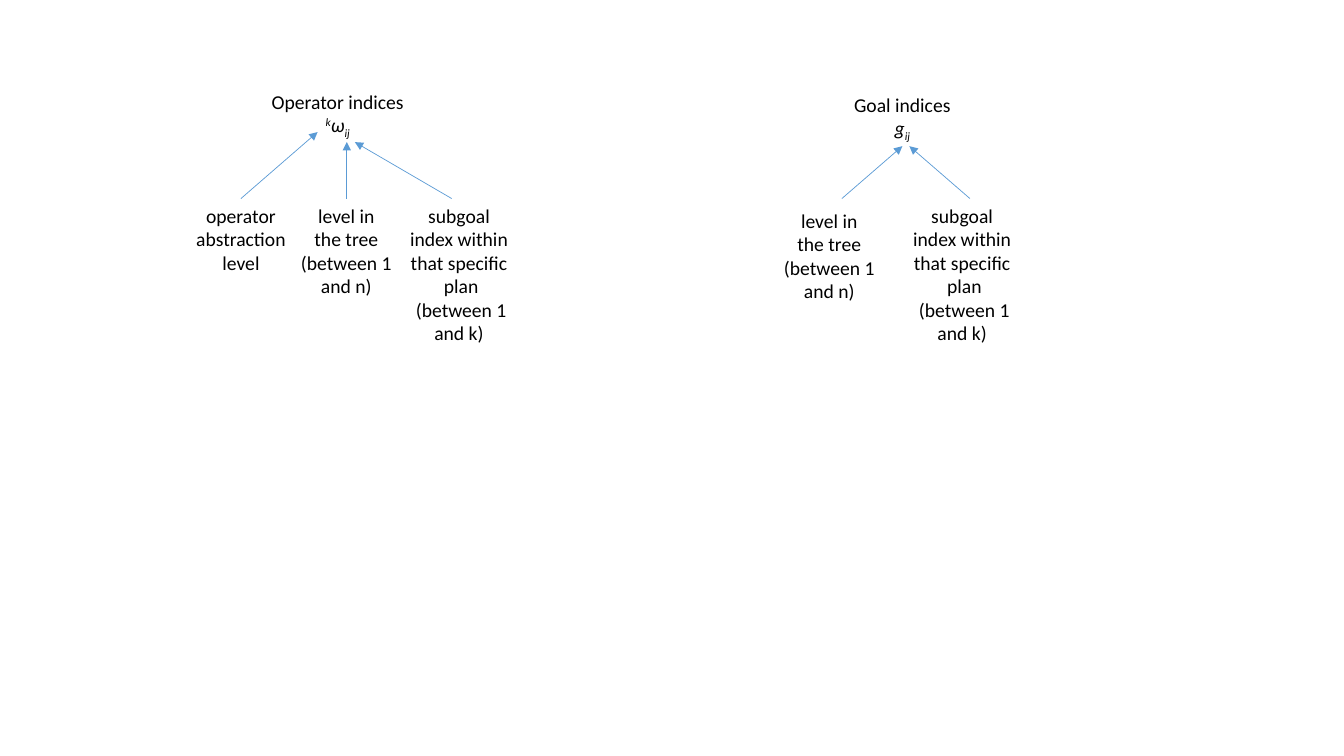
from dataclasses import dataclass

from lxml import etree
from pptx import Presentation
from pptx import util as u
from pptx.dml.color import RGBColor
from pptx.enum import shapes, text
from pptx.oxml.ns import qn

FONT = {"name": "Calibri", "size": u.Pt(14)}
BLACK, BLUE = "000000", "5B9BD5"
ARROW_START = 1.97

LEVEL = ("level in", "the tree", "(between 1", "and n)")
SUBGOAL = ("subgoal ", "index within ", "that specific ", "plan", "(between 1", "and k) ")


@dataclass
class Box:
    """Left, top, width and height in inches."""
    left: float
    top: float
    width: float
    height: float


@dataclass
class Label:
    """An explanation and the arrow leading from it to its index."""
    box: Box
    lines: tuple[str, ...]
    start_x: float
    tip: tuple[float, float]


@dataclass
class Diagram:
    """A heading, its symbol as (text, baseline percent) parts, and labels."""
    box: Box
    heading: str
    symbol: tuple[tuple[str, int], ...]
    labels: tuple[Label, ...]


DIAGRAMS = (
    Diagram(Box(2.48, 0.84, 1.74, 0.57), "Operator indices",
            (("k", 30), ("ω", 0), ("ij", -25)), (
        Label(Box(1.84, 1.97, 1.1, 0.81), ("operator", "abstraction", "level"), 2.39, (3.15, 1.31)),
        Label(Box(2.88, 1.97, 1.11, 1.04), LEVEL, 3.44, (3.44, 1.41)),
        Label(Box(3.96, 1.97, 1.23, 1.51), SUBGOAL, 4.48, (3.52, 1.41)))),
    Diagram(Box(7.96, 0.87, 1.98, 0.57), "Goal indices",
            (("g", 0), ("ij", -25)), (
        Label(Box(7.67, 2.02, 1.11, 1.04), LEVEL, 8.35, (8.95, 1.45)),
        Label(Box(8.95, 1.97, 1.23, 1.51), SUBGOAL, 9.62, (9.02, 1.45)))),
)


def rgb(value: str) -> RGBColor:
    """Turn a hex string into a colour."""
    return RGBColor.from_string(value)


def add_run(p, content: str, italic: bool = False, baseline: int = 0) -> None:
    """Add a formatted run, raised or lowered by a baseline percentage."""
    r = p.add_run()
    r.text = content
    for key, value in {**FONT, "italic": italic}.items():
        setattr(r.font, key, value)
    r.font.color.rgb = rgb(BLACK)
    if baseline:
        r.font._element.set("baseline", str(baseline * 1000))


def add_text(s, box: Box, lines: tuple[str, ...], wrap: bool = False):
    """Add a centred text box with one paragraph per line."""
    sp = s.shapes.add_textbox(*map(u.Inches, (box.left, box.top, box.width, box.height)))
    tf = sp.text_frame
    tf.word_wrap = wrap
    tf.auto_size = text.MSO_AUTO_SIZE.SHAPE_TO_FIT_TEXT
    for i, line in enumerate(lines):
        p = tf.add_paragraph() if i else tf.paragraphs[0]
        p.alignment = text.PP_ALIGN.CENTER
        add_run(p, line)
    return tf


def add_arrow(s, start: tuple[float, float], tip: tuple[float, float]) -> None:
    """Draw a thin arrow from start to tip."""
    sp = s.shapes.add_connector(shapes.MSO_CONNECTOR.STRAIGHT, *map(u.Inches, (*start, *tip)))
    sp.line.color.rgb = rgb(BLUE)
    sp.line.width = u.Pt(0.5)
    etree.SubElement(sp.line._get_or_add_ln(), qn("a:tailEnd"), type="triangle")
    etree.SubElement(sp._element.spPr, qn("a:effectLst"))


def add_diagram(s, diagram: Diagram) -> None:
    """Draw a heading with its symbol, then the arrows and labels."""
    tf = add_text(s, diagram.box, (diagram.heading,), wrap=True)
    p = tf.add_paragraph()
    p.alignment = text.PP_ALIGN.CENTER
    for content, baseline in diagram.symbol:
        add_run(p, content, True, baseline)
    for label in diagram.labels:
        add_arrow(s, (label.start_x, ARROW_START), label.tip)
    for label in diagram.labels:
        add_text(s, label.box, label.lines)


def main() -> None:
    """Build and save the slide."""
    prs = Presentation()
    prs.slide_width, prs.slide_height = u.Inches(13.33), u.Inches(7.5)
    s = prs.slides.add_slide(prs.slide_layouts[6])
    for diagram in DIAGRAMS:
        add_diagram(s, diagram)
    prs.save("out.pptx")


main()
